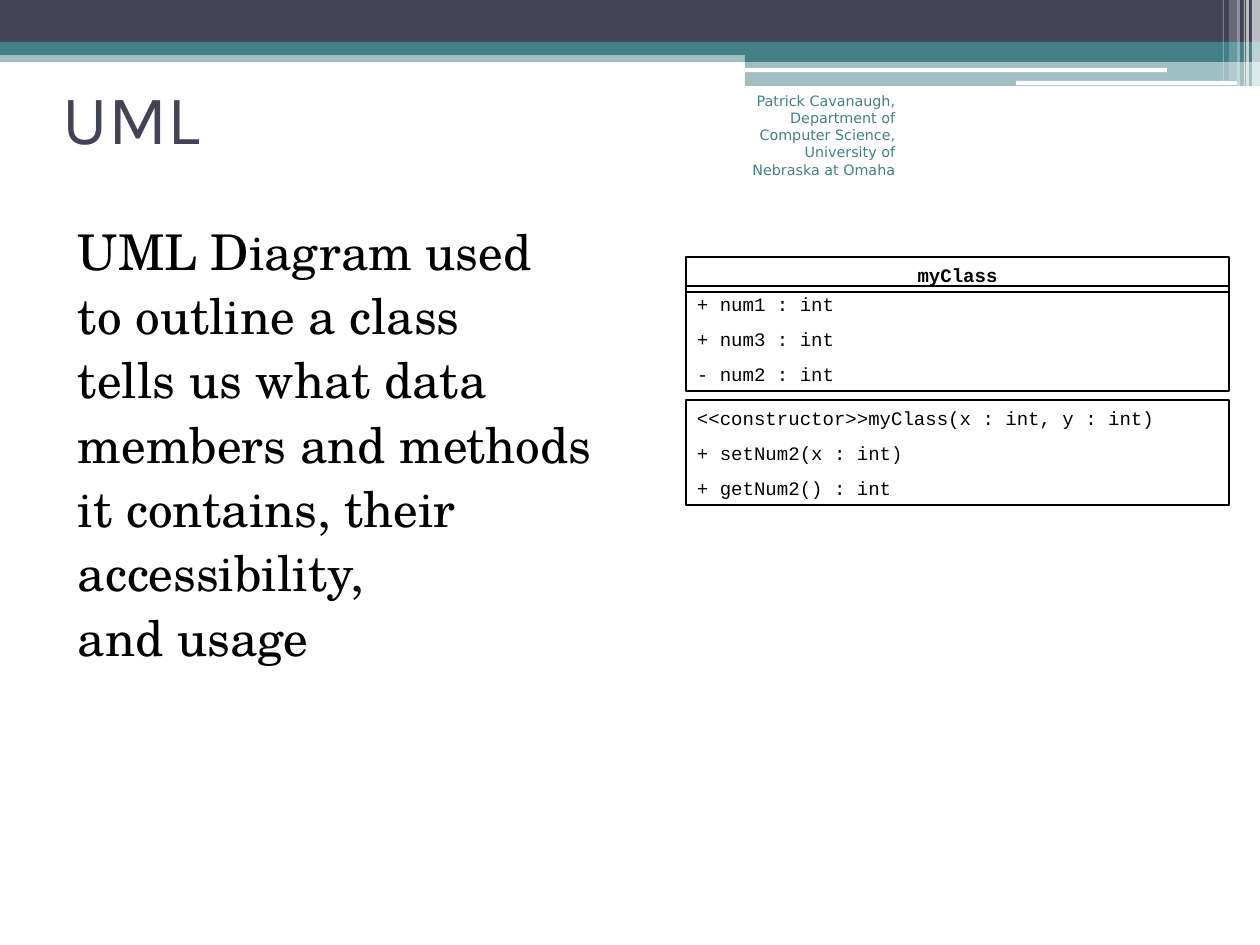
import lxml.etree
import pptx
import pptx.dml.color
import pptx.enum.shapes
import pptx.enum.text
import pptx.oxml.ns
import pptx.util

PX = 8000  # EMU per px
COLORS = {"navy": "424456", "teal": "438086", "white": "FFFFFF", "black": "000000"}
SHAPE = pptx.enum.shapes.MSO_SHAPE
ALIGN = pptx.enum.text.PP_ALIGN
ANCHOR = pptx.enum.text.MSO_ANCHOR
FIT = pptx.enum.text.MSO_AUTO_SIZE

# x, y, width, height, colour, opacity in percent
BANDS = [
    (0, 50, 1260, 12, "teal", 50),
    (0, 0, 1260, 43, "navy", 100),
    (0, 42, 1260, 13, "teal", 100),
    (745, 49, 515, 13, "teal", 100),
    (745, 61, 515, 25, "teal", 50),
]
RULES = [(745, 68, 422, 4), (1016, 81, 221, 4)]
# x, width, height, opacity in percent
STRIPES = [
    (1252, 8, 86, 65),
    (1246, 3, 86, 65),
    (1244, 1, 86, 60),
    (1237, 3, 86, 40),
    (1229, 8, 81, 20),
    (1223, 1, 81, 30),
]
BODY = [
    "UML Diagram used",
    "to outline a class",
    "tells us what data",
    "members and methods",
    "it contains, their",
    "accessibility,",
    "and usage",
]
AUTHOR = "Patrick Cavanaugh, Department of Computer Science, University of Nebraska at Omaha"
FIELDS = ["+ num1 : int", "+ num3 : int", "- num2 : int"]
METHODS = [
    "<<constructor>>myClass(x : int, y : int)",
    "+ setNum2(x : int)",
    "+ getNum2() : int",
]


def px(*lengths):
    return [pptx.util.Emu(n * PX) for n in lengths]


def rgb(name):
    return pptx.dml.color.RGBColor.from_string(COLORS[name])


def add_band(slide, kind, x, y, w, h, color, opacity=100):
    s = slide.shapes.add_shape(kind, *px(x, y, w, h))
    s.shadow.inherit = False
    s.fill.solid()
    s.fill.fore_color.rgb = rgb(color)
    s.line.fill.background()
    if opacity < 100:
        clr = s._element.spPr.xpath("a:solidFill/a:srgbClr")[0]
        alpha = lxml.etree.SubElement(clr, pptx.oxml.ns.qn("a:alpha"))
        alpha.set("val", str(opacity * 1000))


def fill_text(s, lines, font, size, color, align=ALIGN.LEFT, inset=(0, 0),
              anchor=ANCHOR.TOP, fit=FIT.NONE, before=0, spacing=None,
              bold=False, hanging=None):
    tf = s.text_frame
    tf.word_wrap = True
    tf.auto_size = fit
    tf.vertical_anchor = anchor
    tf.margin_left, tf.margin_top = tf.margin_right, tf.margin_bottom = px(*inset)
    for i, line in enumerate(lines):
        p = tf.add_paragraph() if i else tf.paragraphs[0]
        p.alignment = align
        p.space_before = pptx.util.Pt(before if i else 0)
        if spacing:
            p.line_spacing = spacing
        if hanging:
            pPr = p._p.get_or_add_pPr()
            pPr.set("marL", str(hanging[0] * PX))
            pPr.set("indent", str(hanging[1] * PX))
        r = p.add_run()
        r.text = line
        r.font.name = font
        r.font.size = pptx.util.Pt(size)
        r.font.bold = bold
        r.font.color.rgb = rgb(color)


def add_title(slide, text):
    s = slide.shapes.title
    s.left, s.top, s.width, s.height = px(63, 38, 1134, 158)
    fill_text(s, [text], "Karla", 44, "navy", anchor=ANCHOR.MIDDLE)


def add_text(slide, box, lines, font, size, color, **style):
    s = slide.shapes.add_textbox(*px(*box))
    fill_text(s, lines, font, size, color, **style)


def add_compartment(slide, y, h, lines, align=ALIGN.LEFT, bold=False):
    s = slide.shapes.add_shape(SHAPE.RECTANGLE, *px(686, y, 543, h))
    s.shadow.inherit = False
    s.fill.background()
    s.line.color.rgb = rgb("black")
    s.line.width = pptx.util.Pt(1)
    fill_text(s, lines, "Courier New", 12, "black", align=align, inset=(11, 6),
              fit=FIT.SHAPE_TO_FIT_TEXT, before=7.5, spacing=1.02, bold=bold)


def main():
    prs = pptx.Presentation()
    prs.slide_width, prs.slide_height = px(1260, 945)
    slide = prs.slides.add_slide(prs.slide_layouts[5])

    # Header decoration
    for *box, color, opacity in BANDS:
        add_band(slide, SHAPE.RECTANGLE, *box, color, opacity)
    for box in RULES:
        add_band(slide, SHAPE.ROUNDED_RECTANGLE, *box, "white")
    for x, w, h, opacity in STRIPES:
        add_band(slide, SHAPE.RECTANGLE, x, 0, w, h, "white", opacity)

    # Title, body and author
    add_title(slide, "UML")
    add_text(slide, (63, 221, 1134, 624), BODY, "TeX Gyre Schola", 31, "black",
             before=3.3, hanging=(50, -35))
    add_text(slide, (725, 85, 183, 63), [AUTHOR], "DejaVu Sans", 9, "teal",
             align=ALIGN.RIGHT, inset=(13, 7))

    # Class diagram
    add_compartment(slide, 257, 35, ["myClass"], align=ALIGN.CENTER, bold=True)
    add_compartment(slide, 286, 105, FIELDS)
    add_compartment(slide, 400, 105, METHODS)

    prs.save("out.pptx")


if __name__ == "__main__":
    main()
